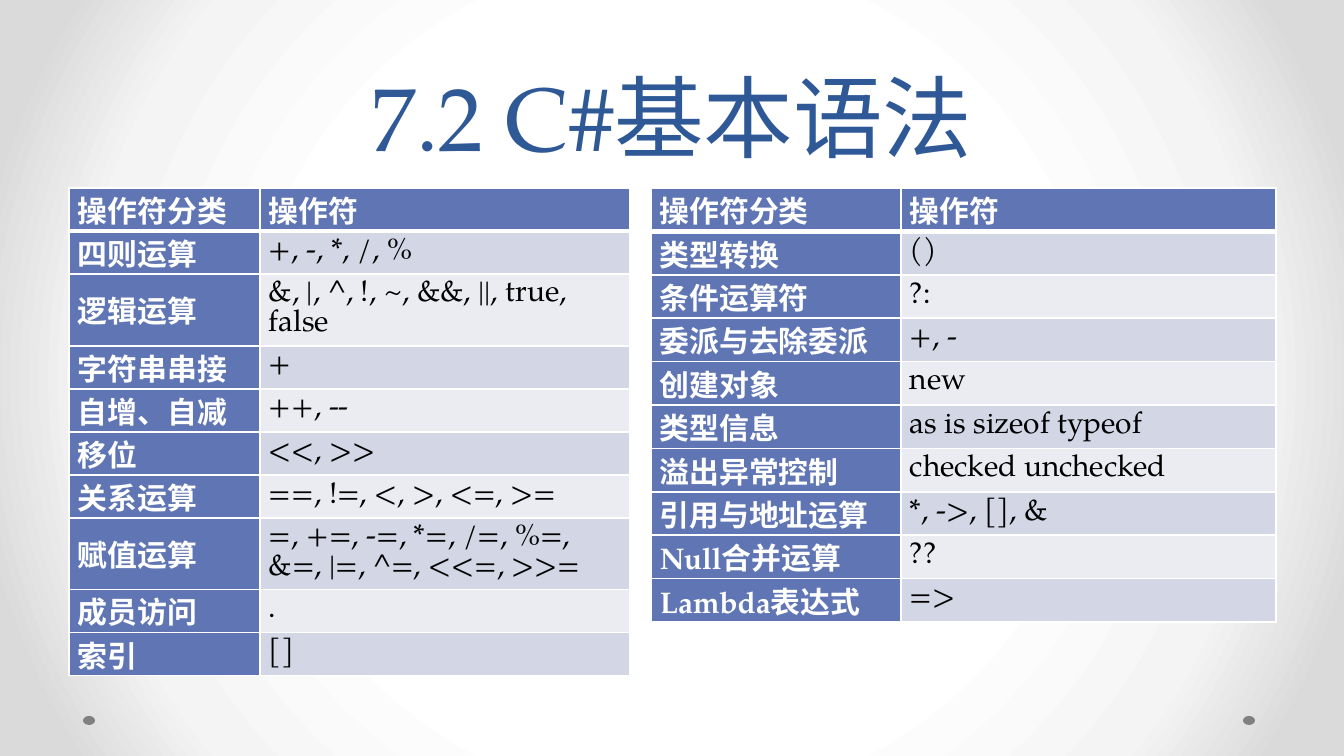
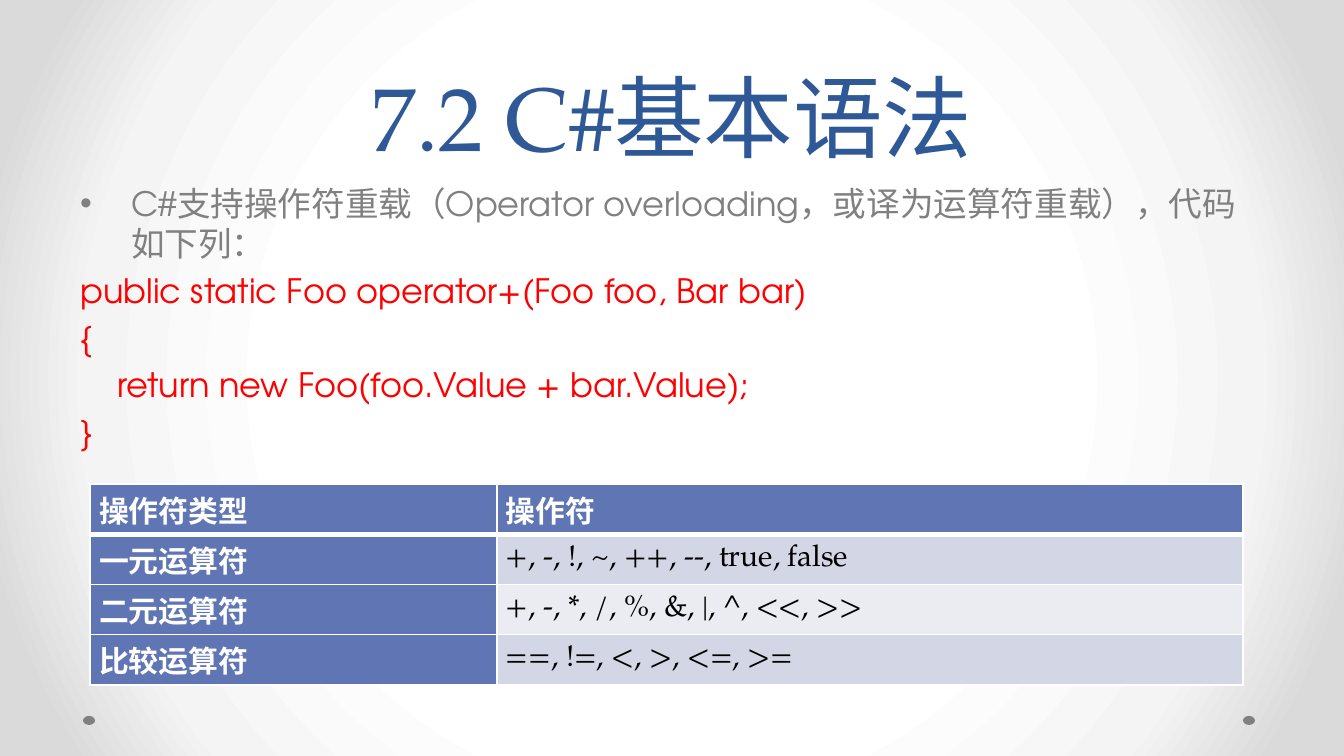
import lxml.etree
import pptx
import pptx.dml.color
import pptx.enum.shapes
import pptx.enum.text
import pptx.oxml
import pptx.oxml.ns
import pptx.util

EMU_PER_PX = 9144000 / 1344
SERIF = "TeX Gyre Pagella"
SANS = "TeX Gyre Adventor"
WHITE = "FFFFFF"
BLACK = "000000"
TITLE_BLUE = "2F5897"
TABLE_BLUE = "6076B4"
BANDS = ("D2D6E5", "EAECF2")
GRAY = "808080"
CODE_RED = "FF0000"
BACKGROUND_STOPS = ((50, WHITE), (76, "F4F4F4"), (92, "DADADA"))
TITLE = "7.2 C#基本语法"
TITLE_BOX = (67, 0, 1210, 176)
BODY_BOX = (67, 176, 1210, 499)

BASIC_OPERATORS = (
    ("操作符分类", "操作符"),
    ("四则运算", "+, -, *, /, %"),
    ("逻辑运算", "&, |, ^, !, ~, &&, ||, true, false"),
    ("字符串串接", "+"),
    ("自增、自减", "++, --"),
    ("移位", "<<, >>"),
    ("关系运算", "==, !=, <, >, <=, >="),
    ("赋值运算", "=, +=, -=, *=, /=, %=, &=, |=, ^=, <<=, >>="),
    ("成员访问", "."),
    ("索引", "[]"),
)
OTHER_OPERATORS = (
    ("操作符分类", "操作符"),
    ("类型转换", "()"),
    ("条件运算符", "?:"),
    ("委派与去除委派", "+, -"),
    ("创建对象", "new"),
    ("类型信息", "as is sizeof typeof"),
    ("溢出异常控制", "checked unchecked"),
    ("引用与地址运算", "*, ->, [], &"),
    ("Null合并运算", "??"),
    ("Lambda表达式", "=>"),
)
OVERLOADABLE_OPERATORS = (
    ("操作符类型", "操作符"),
    ("一元运算符", "+, -, !, ~, ++, --, true, false"),
    ("二元运算符", "+, -, *, /, %, &, |, ^, <<, >>"),
    ("比较运算符", "==, !=, <, >, <=, >="),
)
OVERLOADING_INTRO = "C#支持操作符重载（Operator overloading，或译为运算符重载），代码如下列："
OVERLOADING_CODE = (
    "public static Foo operator+(Foo foo, Bar bar)",
    "{",
    "    return new Foo(foo.Value + bar.Value);",
    "}",
)


def px(length):
    return pptx.util.Emu(round(length * EMU_PER_PX))


def color(value):
    return pptx.dml.color.RGBColor.from_string(value)


def set_font(paragraph, name, size, value, bold=False):
    font = paragraph.font
    font.name = name
    font.size = pptx.util.Pt(size)
    font.bold = bold
    font.color.rgb = color(value)


def add_child(parent, tag, **attributes):
    child = lxml.etree.SubElement(parent, pptx.oxml.ns.qn(tag))
    for name, value in attributes.items():
        child.set(name, str(value))
    return child


def paint_background(slide):
    fill = slide.background.fill
    fill.solid()
    properties = slide.element.cSld.find(".//" + pptx.oxml.ns.qn("p:bgPr"))
    properties.remove(properties[0])
    gradient = add_child(properties, "a:gradFill", rotWithShape=1)
    properties.insert(0, gradient)
    stops = add_child(gradient, "a:gsLst")
    for position, value in BACKGROUND_STOPS:
        stop = add_child(stops, "a:gs", pos=position * 1000)
        add_child(stop, "a:srgbClr", val=value)
    center = add_child(gradient, "a:path", path="circle")
    add_child(center, "a:fillToRect", l=50000, t=50000, r=50000, b=50000)


def add_footer_dots(slide):
    for left in (83, 1243):
        dot = slide.shapes.add_shape(
            pptx.enum.shapes.MSO_SHAPE.OVAL, px(left), px(716), px(12), px(9)
        )
        dot.shadow.inherit = False
        dot.fill.solid()
        dot.fill.fore_color.rgb = color(GRAY)
        dot.line.fill.background()


def add_text_frame(slide, box):
    frame = slide.shapes.add_textbox(*map(px, box)).text_frame
    frame.word_wrap = True
    return frame


def add_title(slide, box):
    frame = add_text_frame(slide, box)
    frame.vertical_anchor = pptx.enum.text.MSO_ANCHOR.BOTTOM
    paragraph = frame.paragraphs[0]
    paragraph.text = TITLE
    paragraph.alignment = pptx.enum.text.PP_ALIGN.CENTER
    paragraph.line_spacing = pptx.util.Pt(58)
    set_font(paragraph, SERIF, 48, TITLE_BLUE)


def add_base_slide(presentation):
    slide = presentation.slides.add_slide(presentation.slide_layouts[6])
    paint_background(slide)
    add_footer_dots(slide)
    add_title(slide, TITLE_BOX)
    return slide


def add_overloading_text(slide, box):
    frame = add_text_frame(slide, box)
    intro = frame.paragraphs[0]
    intro.text = OVERLOADING_INTRO
    properties = intro._p.get_or_add_pPr()
    properties.set("marL", str(px(51)))
    properties.set("indent", str(px(-51)))
    add_child(properties, "a:buFont", typeface="Arial")
    add_child(properties, "a:buChar", char="•")
    set_font(intro, SANS, 18, GRAY)
    for line in OVERLOADING_CODE:
        paragraph = frame.add_paragraph()
        paragraph.text = line
        paragraph.space_before = pptx.util.Pt(3.6)
        set_font(paragraph, SANS, 18, CODE_RED)


def set_borders(cell, top, bottom):
    properties = cell._tc.get_or_add_tcPr()
    widths = {"a:lnL": 1, "a:lnR": 1, "a:lnT": top, "a:lnB": bottom}
    for tag, width in widths.items():
        line = add_child(properties, tag, w=pptx.util.Pt(width))
        add_child(add_child(line, "a:solidFill"), "a:srgbClr", val=WHITE)


def fill_cell(cell, text, row, column):
    is_heading = row == 0 or column == 0
    set_borders(cell, 3 if row == 1 else 1, 3 if row == 0 else 1)
    cell.fill.solid()
    cell.fill.fore_color.rgb = color(TABLE_BLUE if is_heading else BANDS[(row - 1) % 2])
    cell.margin_left = cell.margin_right = px(9)
    cell.margin_top = cell.margin_bottom = 0
    cell.vertical_anchor = pptx.enum.text.MSO_ANCHOR.MIDDLE
    paragraph = cell.text_frame.paragraphs[0]
    paragraph.text = text
    set_font(paragraph, SERIF, 16, WHITE if is_heading else BLACK, is_heading)


def add_operator_table(slide, box, first_width, rows, tall_rows=()):
    left, top, width, height = box
    table = slide.shapes.add_table(len(rows), 2, *map(px, box)).table
    table.horz_banding = False
    table.columns[0].width = px(first_width)
    table.columns[1].width = px(width - first_width)
    weights = [1.4 if row in tall_rows else 1 for row in range(len(rows))]
    for row, texts in enumerate(rows):
        table.rows[row].height = px(height * weights[row] / sum(weights))
        for column, text in enumerate(texts):
            fill_cell(table.cell(row, column), text, row, column)


def add_operators_slide(presentation):
    slide = add_base_slide(presentation)
    add_operator_table(slide, (69, 188, 561, 465), 191, BASIC_OPERATORS, (2, 7))
    add_operator_table(slide, (651, 188, 625, 434), 250, OTHER_OPERATORS)


def add_overloading_slide(presentation):
    slide = add_base_slide(presentation)
    add_overloading_text(slide, BODY_BOX)
    add_operator_table(slide, (90, 484, 1153, 201), 407, OVERLOADABLE_OPERATORS)


def main():
    presentation = pptx.Presentation()
    presentation.slide_width = px(1344)
    presentation.slide_height = px(756)
    add_operators_slide(presentation)
    add_overloading_slide(presentation)
    presentation.save("out.pptx")


if __name__ == "__main__":
    main()
